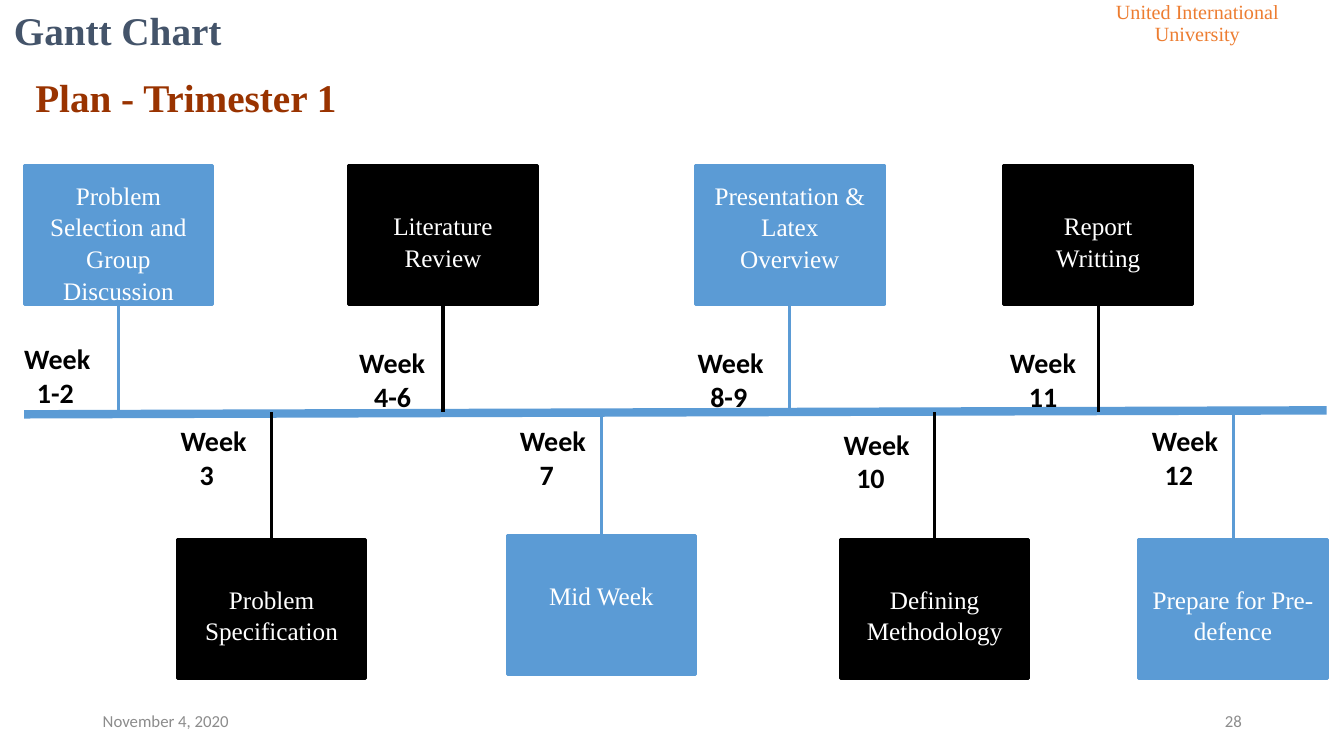
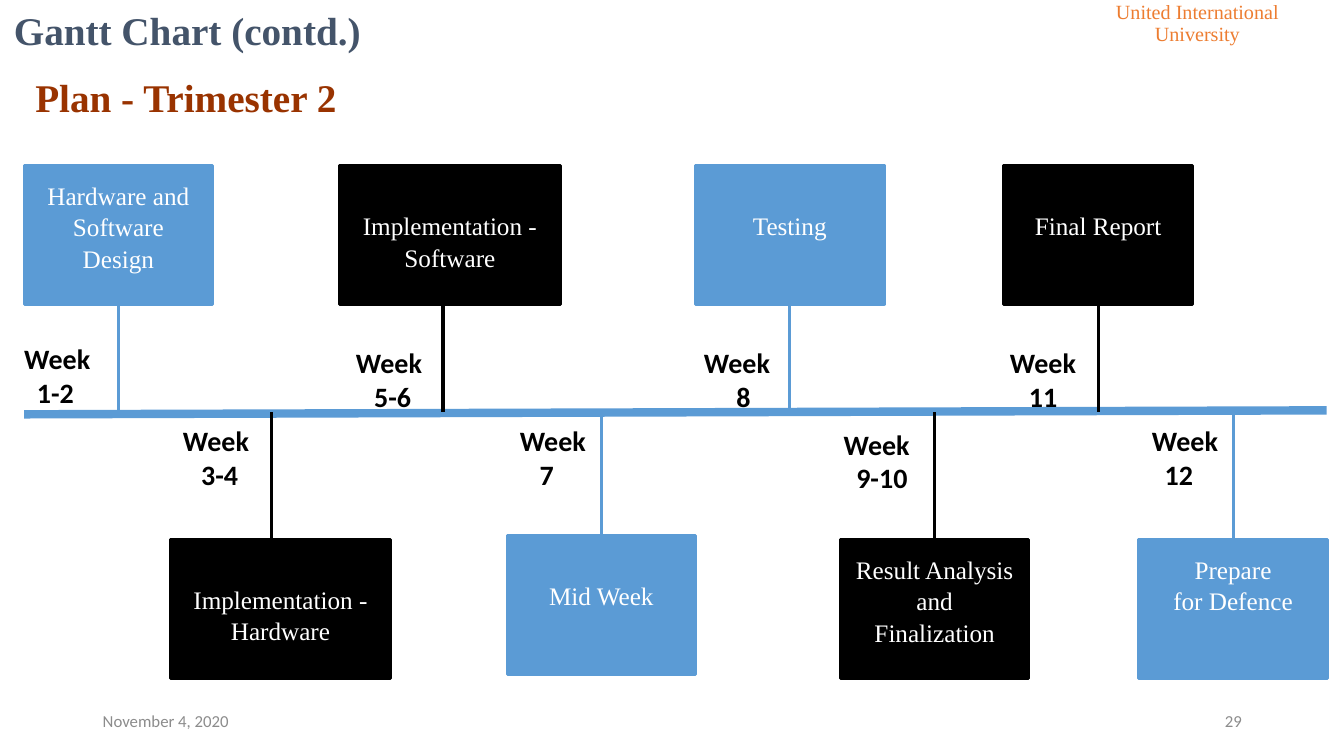
from dataclasses import dataclass

import pptx
import pptx.dml.color
import pptx.enum.shapes
import pptx.enum.text
import pptx.oxml
import pptx.util

Cm = pptx.util.Cm
Pt = pptx.util.Pt
RGB = pptx.dml.color.RGBColor.from_string
ALIGN = pptx.enum.text.PP_ALIGN
ANCHOR = pptx.enum.text.MSO_ANCHOR


@dataclass(frozen=True)
class Theme:
    serif: str = "Times New Roman"
    sans: str = "Calibri"
    blue: str = "5B9BD5"
    black: str = "000000"
    white: str = "FFFFFF"
    heading: str = "44546A"
    title: str = "993300"
    school: str = "ED7D31"
    footer: str = "8C8C8C"
    title_pt: float = 28
    week_pt: float = 20
    box_pt: float = 18
    school_pt: float = 14.4
    footer_pt: float = 12
    stem_pt: float = 2.25
    axis_pt: float = 6


@dataclass(frozen=True)
class Slot:
    """A fixed place on the timeline, in cm."""
    x: float
    y: float
    color: str
    week_x: float
    week_y: float


@dataclass(frozen=True)
class Stage:
    weeks: str
    lines: tuple
    indent: float
    lowered: bool = True
    week_shift: float = 0
    wide_shift: float = 0


T = Theme()
BOX_W, BOX_H, WIDE_W = 4.75, 3.5, 5.56
INSET, LINE_H = 0.33, 0.76
AXIS_Y = 10.39

SLOTS = [
    Slot(0.61, 4.17, T.blue, 0.28, 8.28),
    Slot(4.47, 13.59, T.black, 4.22, 10.34),
    Slot(8.79, 4.17, T.black, 8.72, 8.38),
    Slot(12.78, 13.49, T.blue, 12.77, 10.34),
    Slot(17.53, 4.17, T.blue, 17.25, 8.38),
    Slot(21.18, 13.59, T.black, 20.93, 10.44),
    Slot(25.3, 4.17, T.black, 25.12, 8.38),
    Slot(28.7, 13.59, T.blue, 28.7, 10.34),
]

TRIMESTER_1 = [
    Stage("1-2", ("Problem Selection and Group Discussion",), 0.32, lowered=False),
    Stage("3", ("Problem Specification",), 0.48),
    Stage("4-6", ("Literature Review",), 0.38),
    Stage("7", ("Mid Week",), 0.5),
    Stage("8-9", ("Presentation & Latex Overview",), 0.32, lowered=False),
    Stage("10", ("Defining Methodology",), 0.32),
    Stage("11", ("Report", "Writting"), 0.48),
    Stage("12", ("Prepare for Pre-defence",), 0.32),
]

TRIMESTER_2 = [
    Stage("1-2", ("Hardware and Software Design",), 0.32, lowered=False),
    Stage("3-4", ("Implementation -", "Hardware"), 0.46,
          week_shift=0.06, wide_shift=-0.18),
    Stage("5-6", ("Implementation -", "Software"), 0.46,
          week_shift=-0.08, wide_shift=-0.23),
    Stage("7", ("Mid Week",), 0.5),
    Stage("8", ("Testing",), 0.82, week_shift=0.16),
    Stage("9-10", ("Result Analysis and Finalization",), 0.32, lowered=False),
    Stage("11", ("Final Report",), 0.48),
    Stage("12", ("Prepare", "for Defence"), 0.32, lowered=False),
]


def set_frame(tf, anchor=ANCHOR.TOP, inset=None, top=None):
    tf.word_wrap = True
    tf.auto_size = pptx.enum.text.MSO_AUTO_SIZE.NONE
    tf.vertical_anchor = anchor
    if inset is not None:
        tf.margin_left = tf.margin_right = tf.margin_bottom = Cm(inset)
        tf.margin_top = Cm(inset if top is None else top)


def write(tf, lines, font, size, color, bold=False, align=ALIGN.LEFT, spacing=1.0):
    """Put each line in its own paragraph, all in one style."""
    for i, line in enumerate(lines):
        p = tf.paragraphs[0] if i == 0 else tf.add_paragraph()
        p.text = line
        p.alignment = align
        p.line_spacing = spacing
        p.space_before = Pt(0)
        p.font.name = font
        p.font.size = Pt(size)
        p.font.bold = bold
        p.font.color.rgb = RGB(color)


def add_text(slide, box, anchor=ANCHOR.TOP, inset=None):
    sp = slide.shapes.add_textbox(*map(Cm, box))
    set_frame(sp.text_frame, anchor, inset)
    return sp.text_frame


def add_line(slide, start, end, color, width):
    cx = slide.shapes.add_connector(
        pptx.enum.shapes.MSO_CONNECTOR.STRAIGHT, *map(Cm, start + end))
    cx.line.color.rgb = RGB(color)
    cx.line.width = Pt(width)
    cx._element.spPr.append(pptx.oxml.parse_xml(
        '<a:effectLst xmlns:a="http://schemas.openxmlformats.org/drawingml/2006/main"/>'))
    return cx


def add_box(slide, slot, stage):
    wide = stage.wide_shift != 0
    sp = slide.shapes.add_shape(
        pptx.enum.shapes.MSO_SHAPE.RECTANGLE, Cm(slot.x + stage.wide_shift),
        Cm(slot.y), Cm(WIDE_W if wide else BOX_W), Cm(BOX_H))
    sp.shadow.inherit = False
    sp.fill.solid()
    sp.fill.fore_color.rgb = RGB(slot.color)
    sp.line.color.rgb = RGB(slot.color)
    sp.line.width = Pt(T.stem_pt)
    top = INSET + (LINE_H if stage.lowered else 0)
    set_frame(sp.text_frame, inset=INSET, top=top)
    write(sp.text_frame, stage.lines, T.serif, T.box_pt, T.white,
          align=ALIGN.CENTER, spacing=1.05)
    return sp


def add_stage(slide, slot, stage):
    """Draw a box, its stem to the axis and its week label."""
    sp = add_box(slide, slot, stage)
    above = slot.y < AXIS_Y
    x = slot.x + BOX_W / 2
    edge = slot.y + BOX_H if above else slot.y
    stem = add_line(slide, (x, edge), (x, AXIS_Y), slot.color, T.stem_pt)
    if not stage.wide_shift:
        stem.begin_connect(sp, 2 if above else 0)

    tf = add_text(slide, (slot.week_x + stage.week_shift, slot.week_y, 2.64, 1.6),
                  inset=INSET)
    write(tf, ("Week", stage.weeks), T.sans, T.week_pt, T.black, bold=True)
    tf.paragraphs[1]._p.get_or_add_pPr().set("marL", str(Cm(stage.indent)))


def add_header(slide, heading, plan):
    title = slide.shapes.title
    title.left, title.top, title.width, title.height = map(Cm, (0.89, 1.98, 20.9, 1.73))
    set_frame(title.text_frame, inset=0)
    write(title.text_frame, (plan,), T.serif, T.title_pt, T.title, bold=True, spacing=0.9)

    tf = add_text(slide, (0.1, 0.18, 15.88, 1.32))
    write(tf, (heading,), T.serif, T.title_pt, T.heading, bold=True, spacing=0.9)

    tf = add_text(slide, (26.8, 0.2, 6.75, 1.07), ANCHOR.BOTTOM)
    write(tf, ("United International University",), T.serif, T.school_pt, T.school,
          align=ALIGN.CENTER, spacing=0.9)


def add_footer(slide, number):
    for x, text, align in ((2.34, "November 4, 2020", ALIGN.LEFT),
                           (23.93, str(number), ALIGN.RIGHT)):
        tf = add_text(slide, (x, 17.65, 7.62, 1.02), ANCHOR.MIDDLE)
        write(tf, (text,), T.sans, T.footer_pt, T.footer, align=align)


def add_plan_slide(prs, heading, plan, number, stages):
    slide = prs.slides.add_slide(prs.slide_layouts[5])
    add_header(slide, heading, plan)
    add_line(slide, (0.61, 10.44), (33.43, 10.34), T.blue, T.axis_pt)
    for slot, stage in zip(SLOTS, stages):
        add_stage(slide, slot, stage)
    add_footer(slide, number)


def main():
    prs = pptx.Presentation()
    prs.slide_width, prs.slide_height = Cm(33.87), Cm(19.05)
    add_plan_slide(prs, "Gantt Chart", "Plan - Trimester 1", 28, TRIMESTER_1)
    add_plan_slide(prs, "Gantt Chart (contd.)", "Plan - Trimester 2", 29, TRIMESTER_2)
    prs.save("out.pptx")


if __name__ == "__main__":
    main()
